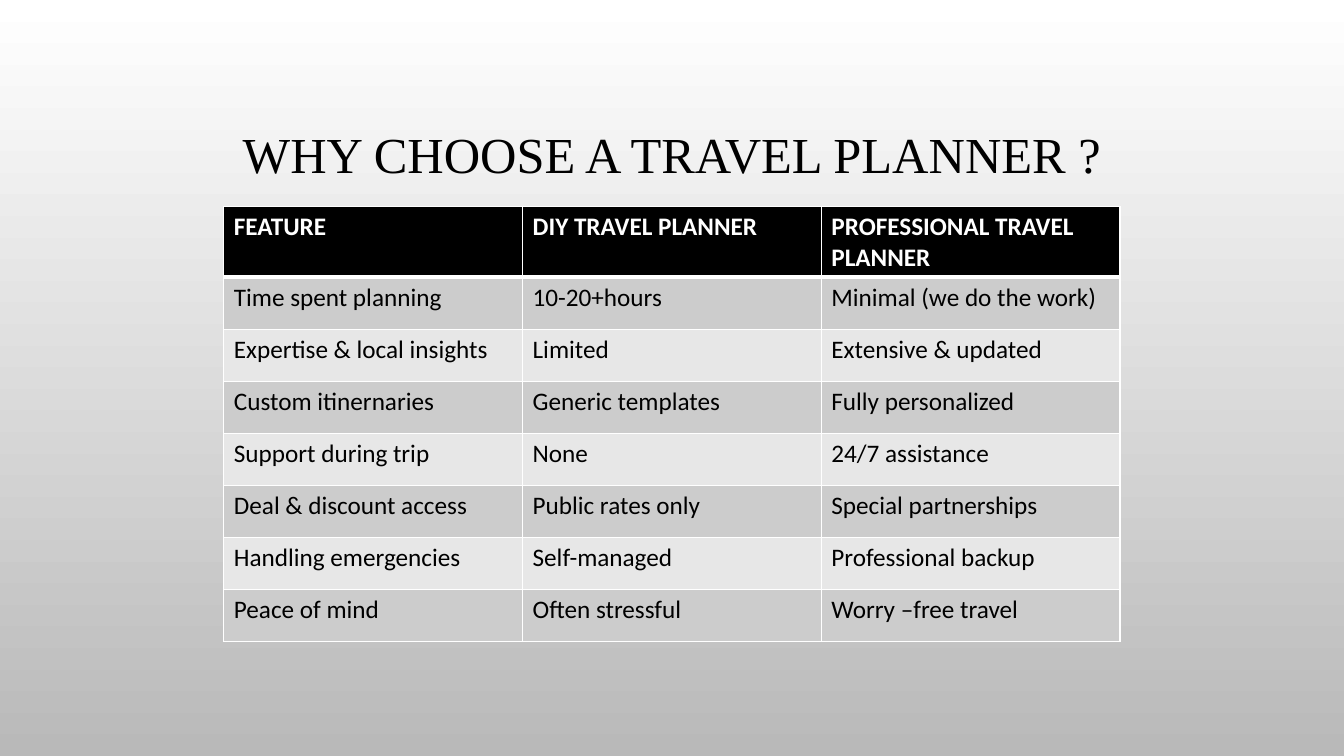
from dataclasses import dataclass

from lxml import etree
from pptx import Presentation
from pptx.dml.color import RGBColor
from pptx.enum.text import MSO_ANCHOR, PP_ALIGN
from pptx.oxml.ns import qn
from pptx.slide import Slide
from pptx.table import _Cell
from pptx.text.text import TextFrame
from pptx.util import Inches, Pt

CENTER, LEFT = PP_ALIGN.CENTER, PP_ALIGN.LEFT
MIDDLE = MSO_ANCHOR.MIDDLE


@dataclass(frozen=True)
class Theme:
    black: str = "000000"
    white: str = "FFFFFF"
    background_end: str = "B9B9B9"
    band_dark: str = "CCCCCC"
    band_light: str = "E7E7E7"
    title_font: str = "Times New Roman"
    table_font: str = "Calibri"
    title_size: float = 36
    table_size: float = 18
    thin_border: float = 1
    header_border: float = 3


@dataclass(frozen=True)
class Comparison:
    feature: str
    diy: str
    professional: str


THEME = Theme()
HEADER = Comparison("FEATURE", "DIY TRAVEL PLANNER", "PROFESSIONAL TRAVEL PLANNER")
COMPARISONS = [
    Comparison("Time spent planning", "10-20+hours", "Minimal (we do the work)"),
    Comparison("Expertise & local insights", "Limited", "Extensive & updated"),
    Comparison("Custom itinernaries", "Generic templates", "Fully personalized"),
    Comparison("Support during trip", "None", "24/7 assistance"),
    Comparison("Deal & discount access", "Public rates only", "Special partnerships"),
    Comparison("Handling emergencies", "Self-managed", "Professional backup"),
    Comparison("Peace of mind", "Often stressful", "Worry –free travel"),
]
TABLE_LEFT, TABLE_TOP = 2.22, 2.05
COLUMN_WIDTH = 2.963
HEADER_HEIGHT, ROW_HEIGHT = 0.7, 0.516


def write_text(frame: TextFrame, text: str, *, font: str, size: float, color: str,
               bold: bool = False, align: PP_ALIGN = LEFT, line_spacing: float = 1.0) -> None:
    paragraph = frame.paragraphs[0]
    paragraph.alignment = align
    paragraph.line_spacing = line_spacing
    run = paragraph.add_run()
    run.text = text
    run.font.name = font
    run.font.size = Pt(size)
    run.font.bold = bold
    run.font.color.rgb = RGBColor.from_string(color)


def set_borders(cell: _Cell, *, top: float, bottom: float) -> None:
    """Give the cell white borders; the schema wants them ahead of the fill."""
    properties = cell._tc.get_or_add_tcPr()
    widths = {"a:lnL": THEME.thin_border, "a:lnR": THEME.thin_border,
              "a:lnT": top, "a:lnB": bottom}
    for index, (tag, width) in enumerate(widths.items()):
        line = etree.Element(qn(tag), w=str(Pt(width)))
        fill = etree.SubElement(line, qn("a:solidFill"))
        etree.SubElement(fill, qn("a:srgbClr"), val=THEME.white)
        properties.insert(index, line)


def paint_background(slide: Slide) -> None:
    fill = slide.background.fill
    fill.gradient()
    fill.gradient_angle = 270
    for stop, color in zip(fill.gradient_stops, (THEME.white, THEME.background_end)):
        stop.color.rgb = RGBColor.from_string(color)


def add_title(slide: Slide) -> None:
    title = slide.shapes.add_textbox(Inches(1), Inches(0.68), Inches(11.33), Inches(1.75))
    frame = title.text_frame
    frame.word_wrap = True
    frame.vertical_anchor = MIDDLE
    write_text(frame, "WHY CHOOSE A TRAVEL PLANNER ?", font=THEME.title_font,
               size=THEME.title_size, color=THEME.black, align=CENTER, line_spacing=0.9)


def add_comparison_table(slide: Slide) -> None:
    rows = [HEADER, *COMPARISONS]
    heights = [HEADER_HEIGHT] + [ROW_HEIGHT] * len(COMPARISONS)
    table = slide.shapes.add_table(
        len(rows), 3, Inches(TABLE_LEFT), Inches(TABLE_TOP),
        Inches(3 * COLUMN_WIDTH), Inches(sum(heights))).table
    for column in table.columns:
        column.width = Inches(COLUMN_WIDTH)
    for row_index, (row, height) in enumerate(zip(rows, heights)):
        table.rows[row_index].height = Inches(height)
        is_header = row_index == 0
        band = THEME.band_dark if row_index % 2 else THEME.band_light
        for column_index, text in enumerate((row.feature, row.diy, row.professional)):
            cell = table.cell(row_index, column_index)
            cell.fill.solid()
            cell.fill.fore_color.rgb = RGBColor.from_string(THEME.black if is_header else band)
            set_borders(cell,
                        top=THEME.header_border if row_index == 1 else THEME.thin_border,
                        bottom=THEME.header_border if is_header else THEME.thin_border)
            write_text(cell.text_frame, text, font=THEME.table_font, size=THEME.table_size,
                       color=THEME.white if is_header else THEME.black, bold=is_header)


def main() -> None:
    presentation = Presentation()
    presentation.slide_width = Inches(13.33)
    presentation.slide_height = Inches(7.5)
    slide = presentation.slides.add_slide(presentation.slide_layouts[6])
    paint_background(slide)
    add_title(slide)
    add_comparison_table(slide)
    presentation.save("out.pptx")


if __name__ == "__main__":
    main()
